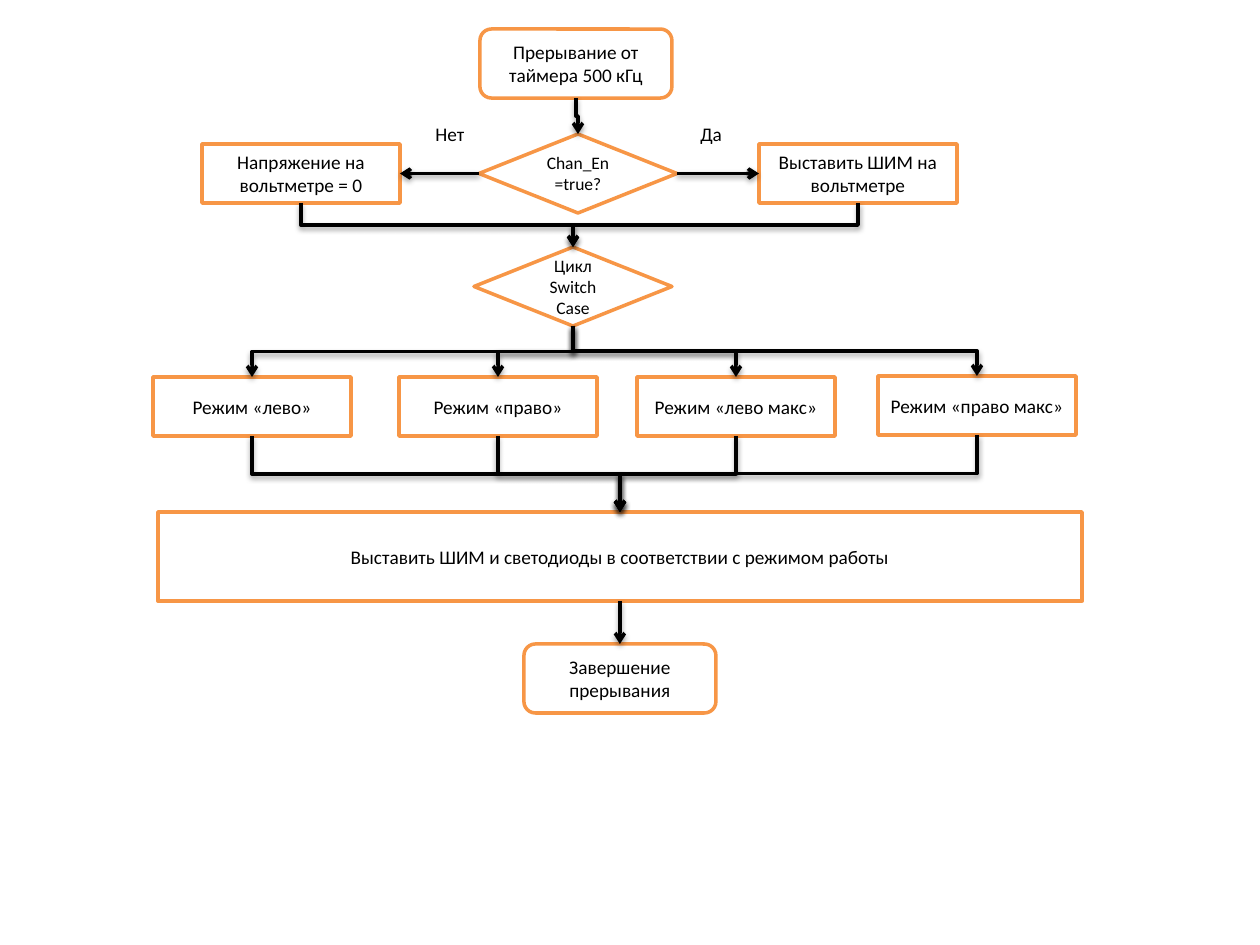
import pptx
import pptx.dml.color
import pptx.enum.shapes
import pptx.enum.text
import pptx.oxml
import pptx.oxml.ns
import pptx.util

PX = 914400 / 126
TOP, LEFT, BOTTOM, RIGHT = range(4)
SHAPE = pptx.enum.shapes.MSO_SHAPE
ALIGN = pptx.enum.text.PP_ALIGN
BLACK, WHITE, ORANGE = "000000", "FFFFFF", "F79646"


def color(hex_string):
    """Return the RGB colour for a hex string."""
    return pptx.dml.color.RGBColor.from_string(hex_string)


def write(sp, text, size, align):
    """Put one formatted paragraph of black Calibri into a shape."""
    tf = sp.text_frame
    tf.text = text
    p = tf.paragraphs[0]
    p.alignment = align
    font = p.runs[0].font
    font.name = "Calibri"
    font.size = pptx.util.Pt(size)
    font.color.rgb = color(BLACK)


prs = pptx.Presentation()
prs.slide_width = pptx.util.Inches(10)
prs.slide_height = pptx.util.Inches(7.5)
s = prs.slides.add_slide(prs.slide_layouts[6])

# Flowchart blocks: name, kind, left, top, text
sizes = {
    SHAPE.FLOWCHART_ALTERNATE_PROCESS: (192, 69),
    SHAPE.FLOWCHART_DECISION: (198, 79),
    SHAPE.FLOWCHART_PROCESS: (198, 59),
}
terminal, decision, process = sizes
blocks = [
    ("start", terminal, 480, 29, "Прерывание от таймера 500 кГц"),
    ("enabled", decision, 479, 134, "Chan_En =true?"),
    ("yes", process, 759, 144, "Выставить ШИМ на вольтметре"),
    ("no", process, 202, 144, "Напряжение на вольтметре = 0"),
    ("switch", decision, 474, 247, "Цикл Switch Case"),
    ("left", process, 153, 377, "Режим «лево»"),
    ("right", process, 399, 377, "Режим «право»"),
    ("left max", process, 637, 377, "Режим «лево макс»"),
    ("right max", process, 878, 376, "Режим «право макс»"),
    ("output", process, 158, 512,
     "Выставить ШИМ и светодиоды в соответствии с режимом работы"),
    ("end", terminal, 524, 644, "Завершение прерывания"),
]
shapes = {}
for name, kind, x, y, text in blocks:
    w, h = (924, 89) if name == "output" else sizes[kind]
    sp = s.shapes.add_shape(kind, *(round(v * PX) for v in (x, y, w, h)))
    sp.shadow.inherit = False
    sp.fill.solid()
    sp.fill.fore_color.rgb = color(WHITE)
    sp.line.color.rgb = color(ORANGE)
    sp.line.width = pptx.util.Pt(2)
    sp.text_frame.word_wrap = True
    sp.text_frame.vertical_anchor = pptx.enum.text.MSO_ANCHOR.MIDDLE
    write(sp, text, 10 if kind == decision else 11, ALIGN.CENTER)
    shapes[name] = sp

# Branch labels
for text, x, w in [("Да", 688, 48), ("Нет", 423, 55)]:
    sp = s.shapes.add_textbox(*(round(v * PX) for v in (x, 116, w, 37)))
    sp.text_frame.word_wrap = False
    write(sp, text, 11, ALIGN.LEFT)

# Elbow arrows; they keep the soft shadow of the theme
modes = ["left", "right", "left max", "right max"]
links = [
    ("start", BOTTOM, "enabled", TOP),
    ("enabled", RIGHT, "yes", LEFT),
    ("enabled", LEFT, "no", RIGHT),
    ("no", BOTTOM, "switch", TOP),
    ("yes", BOTTOM, "switch", TOP),
    *[("switch", BOTTOM, mode, TOP) for mode in modes],
    *[(mode, BOTTOM, "output", TOP) for mode in modes],
    ("output", BOTTOM, "end", TOP),
]
for source, source_site, target, target_site in links:
    c = s.shapes.add_connector(pptx.enum.shapes.MSO_CONNECTOR.ELBOW, 0, 0, 0, 0)
    c.begin_connect(shapes[source], source_site)
    c.end_connect(shapes[target], target_site)
    c.line.color.rgb = color(BLACK)
    c.line.width = pptx.util.Pt(2)
    arrow = pptx.oxml.parse_xml(
        '<a:tailEnd %s type="arrow"/>' % pptx.oxml.ns.nsdecls("a"))
    c.line._get_or_add_ln().append(arrow)
    if source_site == BOTTOM:
        # A vertical elbow is a horizontal one turned about its centre
        dx, dy = c.end_x - c.begin_x, c.end_y - c.begin_y
        mid_x, mid_y = (c.begin_x + c.end_x) // 2, (c.begin_y + c.end_y) // 2
        c.width, c.height = dy, abs(dx)
        c.left, c.top = mid_x - dy // 2, mid_y - abs(dx) // 2
        xfrm = c._element.spPr.xfrm
        xfrm.set("rot", "16200000" if dx > 0 else "5400000")
        xfrm.set("flipH", "1" if dx > 0 else "0")
        xfrm.set("flipV", "0")

prs.save("out.pptx")
